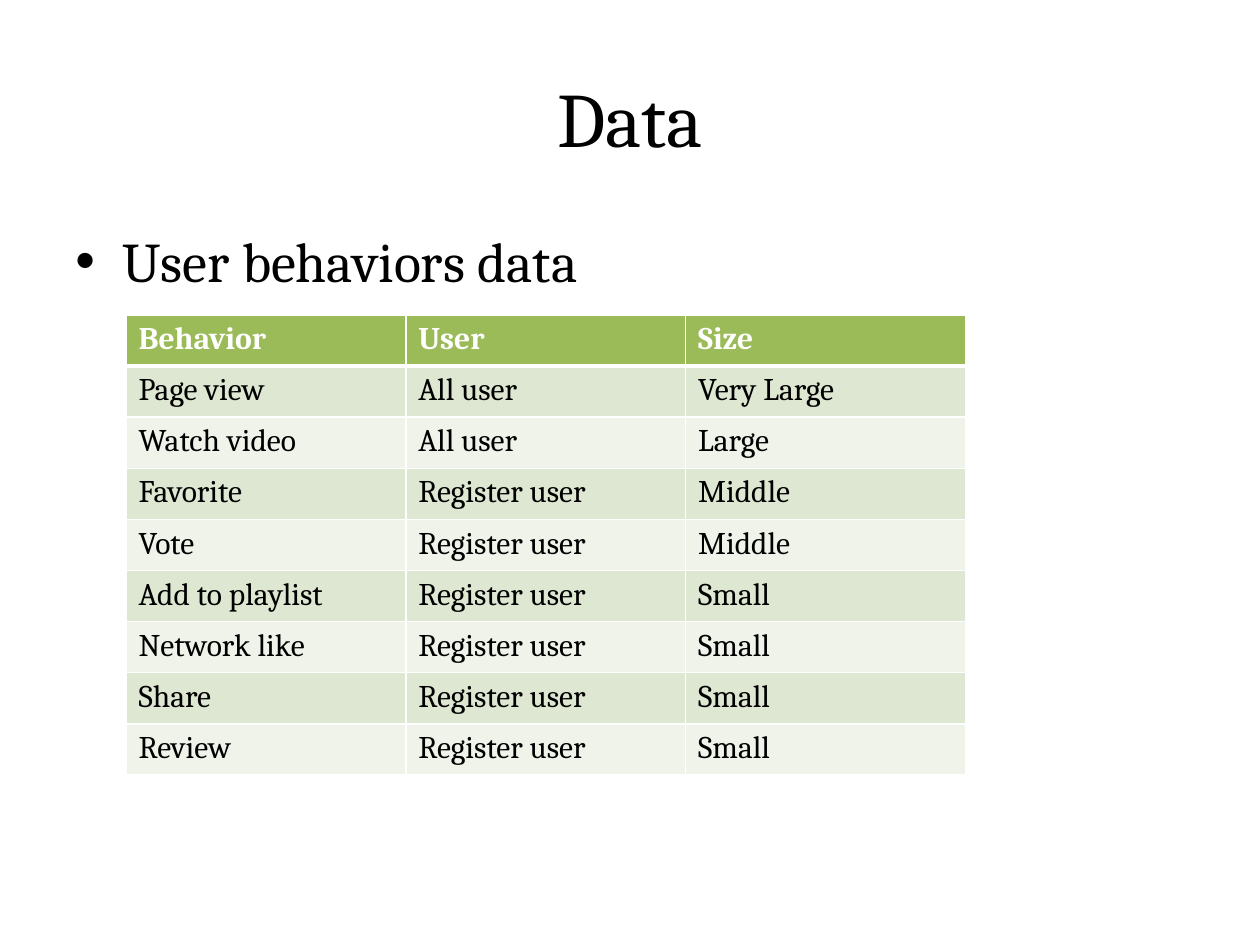
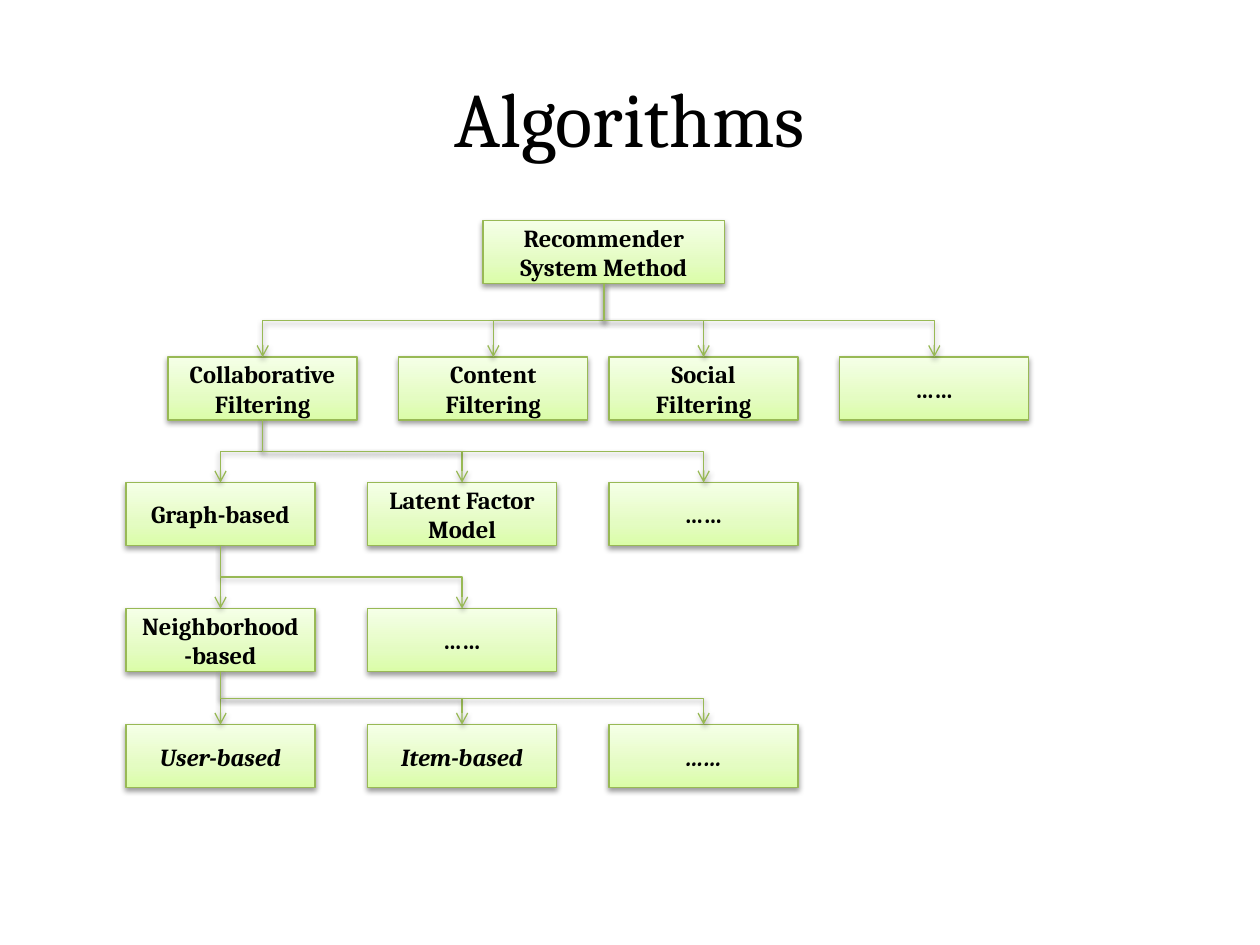
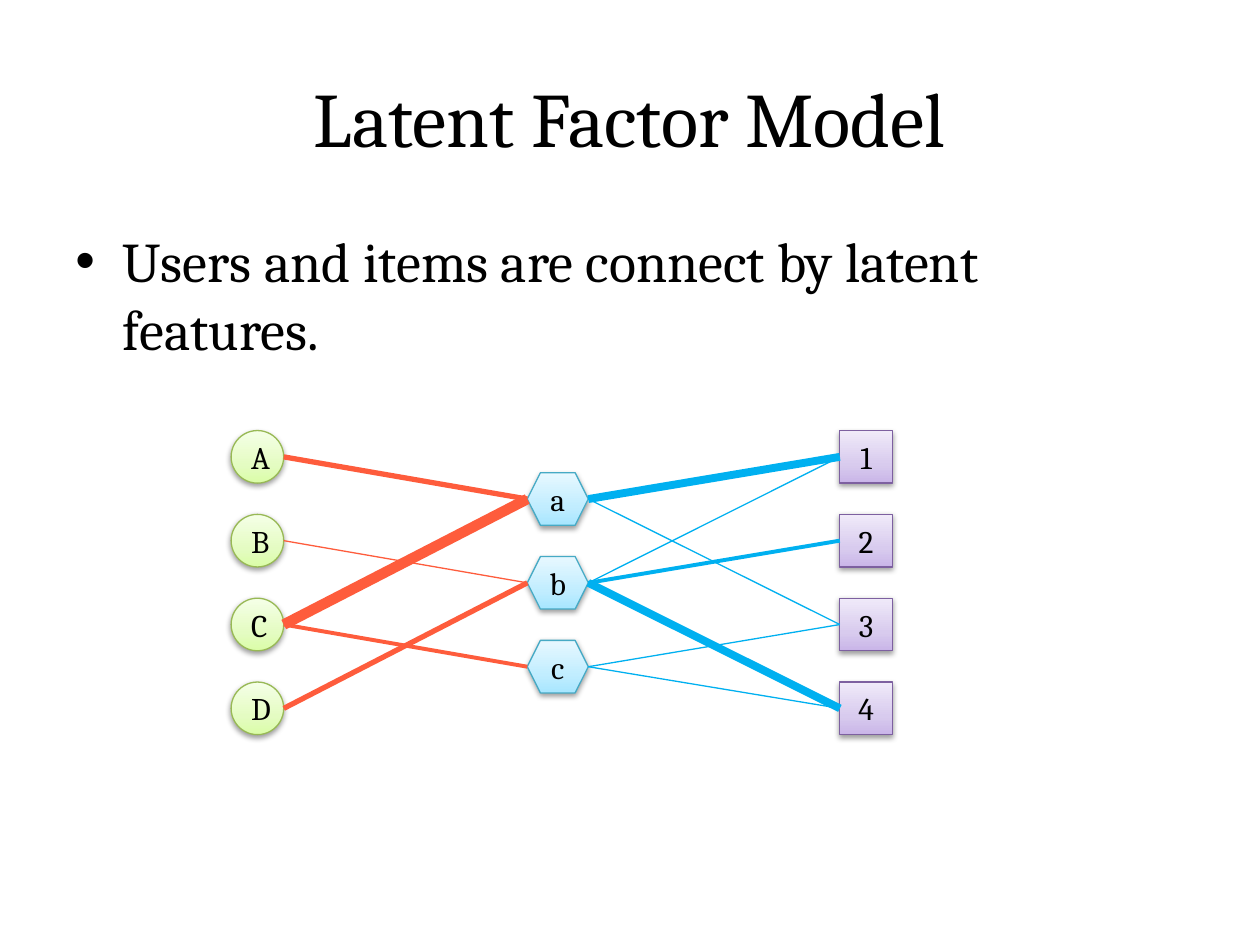
import copy

import pptx
import pptx.dml.color
import pptx.enum.dml
import pptx.enum.shapes
import pptx.enum.text
import pptx.oxml
import pptx.oxml.ns
import pptx.util

Cm = pptx.util.Cm
Pt = pptx.util.Pt
qn = pptx.oxml.ns.qn
Preset = pptx.enum.shapes.MSO_SHAPE
Connector = pptx.enum.shapes.MSO_CONNECTOR
Align = pptx.enum.text.PP_ALIGN
Anchor = pptx.enum.text.MSO_ANCHOR

FONT = "Cambria"
TOP, LEFT, BOTTOM = 0, 1, 2

# Line colour, then gradient colours from the bottom up
GREEN = ("98B955", "DAFDA7", "E4FCC2", "F5FFE7")
PURPLE = ("7D60A0", "C9B5E8", "D8CBEE", "F0EAF9")
BLUE = ("46AAC5", "A7E6FF", "C1EDFF", "E7F8FF")
STOPS = (0, 0.35, 1)

BEHAVIORS = [
    ("Behavior", "User", "Size"),
    ("Page view", "All user", "Very Large"),
    ("Watch video", "All user", "Large"),
    ("Favorite", "Register user", "Middle"),
    ("Vote", "Register user", "Middle"),
    ("Add to playlist", "Register user", "Small"),
    ("Network like", "Register user", "Small"),
    ("Share", "Register user", "Small"),
    ("Review", "Register user", "Small"),
]

# Each level: top, left edges, labels, italic; its first box is the parent of the next level
COLUMNS = (2.54, 7.41, 12.28)
LEVELS = [
    (7.2, (3.39, 8.04, 12.28, 16.93),
     ("Collaborative Filtering", "Content Filtering", "Social Filtering", "……"), False),
    (9.73, COLUMNS, ("Graph-based", "Latent Factor Model", "……"), False),
    (12.27, COLUMNS, ("Neighborhood-based", "……"), False),
    (14.61, COLUMNS, ("User-based", "Item-based", "……"), True),
]

# Each column: labels, preset, colours, left, top, width
NODES = [
    ("ABCD", Preset.OVAL, GREEN, 4.66, 8.68, 1.06),
    ("1234", Preset.RECTANGLE, PURPLE, 16.93, 8.68, 1.06),
    ("abc", Preset.HEXAGON, BLUE, 10.63, 9.53, 1.23),
]
NODE_HEIGHT, NODE_PITCH = 1.06, 1.69

USER_LINKS = [("A", "a", 3), ("B", "b", 0.75), ("C", "a", 6), ("C", "c", 2.25), ("D", "b", 3)]
ITEM_LINKS = [("a", "1", 4.5), ("a", "3", 0.75), ("b", "1", 0.75), ("b", "4", 4.5),
              ("c", "3", 0.75), ("c", "4", 0.75), ("b", "2", 2.25)]


def colour(value):
    return pptx.dml.color.RGBColor.from_string(value)


def element(tag, parent=None, **attributes):
    """Make a DrawingML element, as the last child of parent if there is one."""
    node = pptx.oxml.parse_xml(f"<a:{tag} {pptx.oxml.ns.nsdecls('a')}/>")
    for name, value in attributes.items():
        node.set(name, str(value))
    if parent is not None:
        parent.append(node)
    return node


def apply(target, formats):
    for name, value in formats.items():
        setattr(target, name, value)


class Deck:
    def __init__(self):
        self.deck = pptx.Presentation()
        self.deck.slide_width, self.deck.slide_height = Cm(25.4), Cm(19.05)
        self.page = None

    def add_text(self, frame, text, size, ink="000000", bold=False, italic=False, **formats):
        """Put one paragraph into a text frame; formats go to the paragraph."""
        para = frame.paragraphs[0]
        apply(para, formats)
        span = para.add_run()
        span.text = text
        apply(span.font, {"name": FONT, "size": Pt(size), "bold": bold, "italic": italic})
        span.font.color.rgb = colour(ink)
        return para

    def new_page(self, title):
        self.page = self.deck.slides.add_slide(self.deck.slide_layouts[5])
        box = self.page.shapes.title
        apply(box, {"left": Cm(1.27), "top": Cm(0.76), "width": Cm(22.86), "height": Cm(3.18)})
        box.text_frame.vertical_anchor = Anchor.MIDDLE
        self.add_text(box.text_frame, title, 44, alignment=Align.CENTER)

    def bullet(self, text):
        box = self.page.shapes.add_textbox(Cm(1.27), Cm(4.45), Cm(22.86), Cm(12.57))
        box.text_frame.word_wrap = True
        para = self.add_text(box.text_frame, text, 32, space_before=Pt(6.4))
        properties = para._p.get_or_add_pPr()
        properties.set("marL", str(Cm(0.95)))
        properties.set("indent", str(-Cm(0.95)))
        element("buFont", properties, typeface="Arial")
        element("buChar", properties, char="•")

    def shadow(self, effects):
        shade = element("outerShdw", effects, blurRad=Pt(3.15), dist=Pt(1.57),
                        dir=5400000, rotWithShape=0)
        element("alpha", element("srgbClr", shade, val="000000"), val=38000)

    def shape(self, preset, text, at, colours, size, **font):
        """Add a shape with a gradient, a shadow and centred text."""
        box = self.page.shapes.add_shape(preset, *map(Cm, at))
        box.fill.gradient()
        box.fill.gradient_angle = 90
        stop_list = box._element.spPr.find(".//" + qn("a:gsLst"))
        stop_list.append(copy.deepcopy(stop_list[0]))
        for stop, position, value in zip(box.fill.gradient_stops, STOPS, colours[1:]):
            stop.position = position
            stop.color.rgb = colour(value)
        box.line.color.rgb = colour(colours[0])
        box.line.width = Pt(0.75)
        box.shadow.inherit = False
        self.shadow(box._element.spPr.find(qn("a:effectLst")))
        apply(box.text_frame, {"word_wrap": True, "vertical_anchor": Anchor.MIDDLE})
        self.add_text(box.text_frame, text, size, alignment=Align.CENTER, **font)
        return box

    def style_line(self, line, ink, width):
        """Format a connector and return its empty effect list."""
        line.line.color.rgb = colour(ink)
        line.line.width = Pt(width)
        return element("effectLst", line._element.spPr)

    def branch(self, parent, child):
        """Join two boxes by an elbow arrow that leaves downwards."""
        line = self.page.shapes.add_connector(Connector.ELBOW, 0, 0, 0, 0)
        line.begin_connect(parent, BOTTOM)
        line.end_connect(child, TOP)
        across = line.end_x - line.begin_x
        down = line.end_y - line.begin_y
        middle_x = (line.begin_x + line.end_x) // 2
        middle_y = (line.begin_y + line.end_y) // 2
        apply(line._element.spPr.xfrm, {"rot": 270 if across > 0 else 90,
                                        "flipH": across > 0, "flipV": False})
        apply(line, {"left": middle_x - down // 2, "top": middle_y - abs(across) // 2,
                     "width": down, "height": abs(across)})
        self.shadow(self.style_line(line, GREEN[0], 0.75))
        element("tailEnd", line.line._ln, type="arrow")

    def link(self, start, end, ink, width):
        """Draw a straight line from the right of start to the left of end."""
        line = self.page.shapes.add_connector(
            Connector.STRAIGHT, start.left + start.width, start.top + start.height // 2,
            end.left, end.top + end.height // 2)
        if end.auto_shape_type == Preset.RECTANGLE:
            line.end_connect(end, LEFT)
        self.style_line(line, ink, width)

    def table(self, rows, at, column_width, row_height):
        grid = self.page.shapes.add_table(
            len(rows), len(rows[0]), Cm(at[0]), Cm(at[1]),
            Cm(column_width * len(rows[0])), Cm(row_height * len(rows))).table
        for row in grid.rows:
            row.height = Cm(row_height)
        for column in grid.columns:
            column.width = Cm(column_width)
        for r, texts in enumerate(rows):
            header = r == 0
            fill = "9BBB59" if header else ("EFF3EA", "DEE7D1")[r % 2]
            borders = {"lnL": 1, "lnR": 1, "lnT": 3 if r == 1 else 1, "lnB": 3 if header else 1}
            for c, text in enumerate(texts):
                cell = grid.cell(r, c)
                self.add_text(cell.text_frame, text, 18, "FFFFFF" if header else "000000", header)
                properties = cell._tc.get_or_add_tcPr()
                for side, width in borders.items():
                    edge = element(side, properties, w=Pt(width))
                    element("srgbClr", element("solidFill", edge), val="FFFFFF")
                cell.fill.solid()
                cell.fill.fore_color.rgb = colour(fill)


def data_page(deck):
    deck.new_page("Data")
    deck.bullet("User behaviors data")
    deck.table(BEHAVIORS, (2.54, 6.35), 5.64, 1.03)


def algorithms_page(deck):
    deck.new_page("Algorithms")
    parent = deck.shape(Preset.RECTANGLE, "Recommender System Method",
                        (9.74, 4.45, 4.87, 1.27), GREEN, 14, bold=True)
    for top, lefts, labels, italic in LEVELS:
        children = [deck.shape(Preset.RECTANGLE, label, (left, top, 3.81, 1.27), GREEN, 14,
                               bold=True, italic=italic)
                    for left, label in zip(lefts, labels)]
        for child in children:
            deck.branch(parent, child)
        parent = children[0]


def latent_factor_page(deck):
    deck.new_page("Latent Factor Model")
    deck.bullet("Users and items are connect by latent features.")
    nodes = {}
    for labels, preset, colours, left, top, width in NODES:
        for row, label in enumerate(labels):
            at = (left, top + row * NODE_PITCH, width, NODE_HEIGHT)
            nodes[label] = deck.shape(preset, label, at, colours, 18)
    for links, ink in ((USER_LINKS, "FE5C3C"), (ITEM_LINKS, "00B0F0")):
        for start, end, width in links:
            deck.link(nodes[start], nodes[end], ink, width)


def main():
    deck = Deck()
    data_page(deck)
    algorithms_page(deck)
    latent_factor_page(deck)
    deck.deck.save("out.pptx")


if __name__ == "__main__":
    main()
